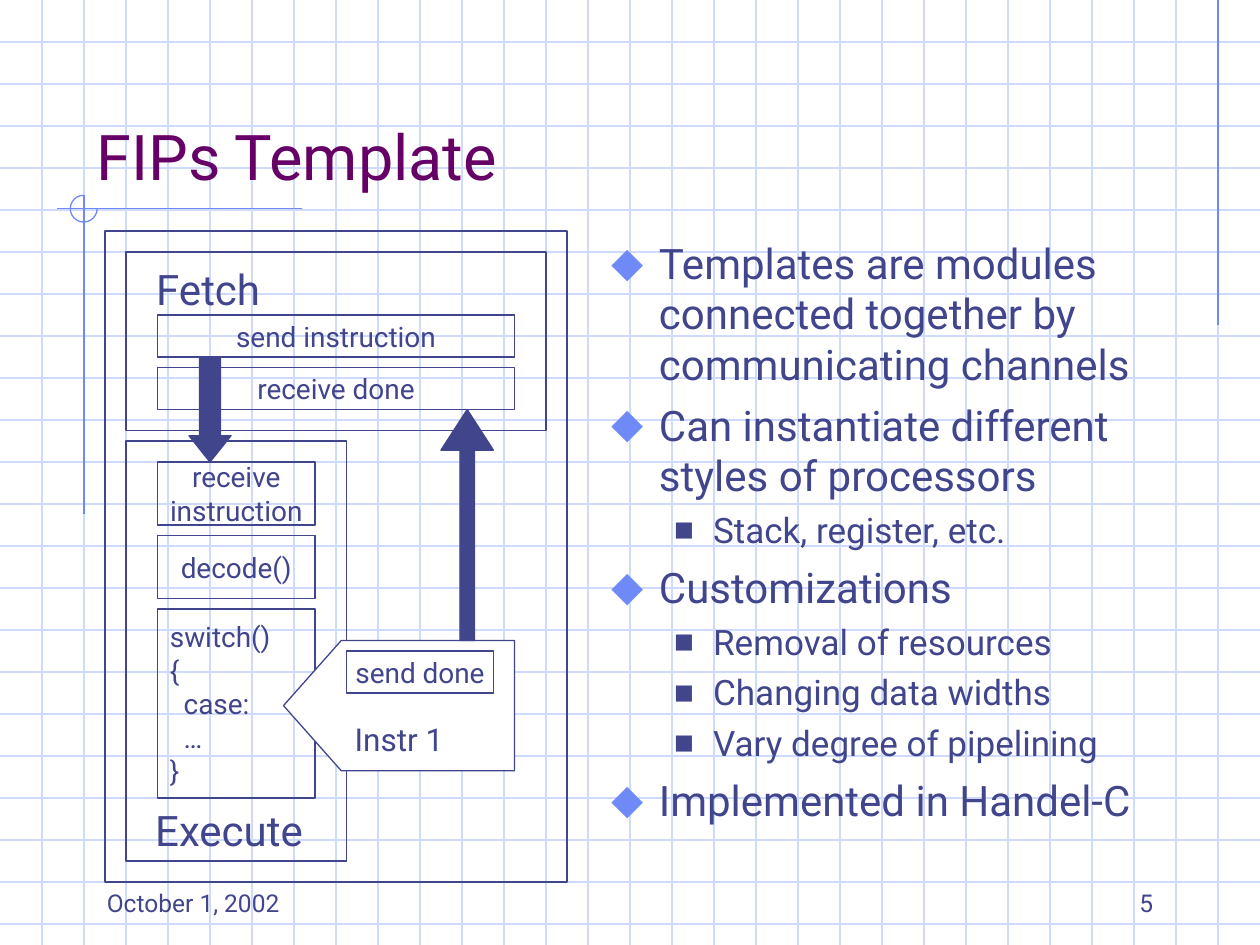
import copy

import lxml.etree
import pptx
import pptx.dml.color
import pptx.enum.shapes
import pptx.enum.text
import pptx.oxml.ns
import pptx.util

COLORS = {"ink": "40458C", "title": "660066", "accent": "6F89F7", "grid": "CFDBFD", "paper": "FFFFFF"}
FONT = "Roboto"
COLUMNS, ROWS = 120, 90
CELL = pptx.util.Inches(1) // 12
GRID_STEP = 4
SHAPES = pptx.enum.shapes.MSO_SHAPE
ALIGN = pptx.enum.text.PP_ALIGN
ANCHOR = pptx.enum.text.MSO_ANCHOR

BULLETS = [
    (0, "Templates are modules connected together by communicating channels"),
    (0, "Can instantiate different styles of processors"),
    (1, "Stack, register, etc."),
    (0, "Customizations"),
    (1, "Removal of resources"),
    (1, "Changing data widths"),
    (1, "Vary degree of pipelining"),
    (0, "Implemented in Handel-C"),
]
BULLET_STYLES = [
    {"size": 24, "before": 6, "margin": 0.38, "indent": -0.38, "bullet": ("⬥", "accent", 110)},
    {"size": 20, "before": 5, "margin": 0.81, "indent": -0.31, "bullet": ("■", "ink", 60)},
]
CODE = [("switch()", 0), ("{", 0), ("case:", 0.11), ("…", 0.11), ("}", 0)]


def color(name):
    """Return the named palette colour."""
    return pptx.dml.color.RGBColor.from_string(COLORS[name])


def cells(*values):
    """Convert grid cells to slide units."""
    return [round(value * CELL) for value in values]


def within(box, left, top, width, height):
    """Shift a box given relative to another one onto the slide grid."""
    return box[0] + left, box[1] + top, width, height


def add_bullet(properties, character, color_name, percent):
    """Append a coloured, scaled bullet to paragraph properties."""
    qn = pptx.oxml.ns.qn
    bullet_color = lxml.etree.SubElement(properties, qn("a:buClr"))
    lxml.etree.SubElement(bullet_color, qn("a:srgbClr"), val=COLORS[color_name])
    lxml.etree.SubElement(properties, qn("a:buSzPct"), val=str(percent * 1000))
    lxml.etree.SubElement(properties, qn("a:buFont"), typeface=FONT)
    lxml.etree.SubElement(properties, qn("a:buChar"), char=character)


def write(paragraph, text, size=16, ink="ink", align=ALIGN.LEFT, before=0, margin=0, indent=0, bullet=None):
    """Fill a paragraph with formatted text."""
    paragraph.text = text
    paragraph.alignment = align
    paragraph.space_before = pptx.util.Pt(before)
    for run in paragraph.runs:
        run.font.size = pptx.util.Pt(size)
        run.font.name = FONT
        run.font.color.rgb = color(ink)
    for line_break in paragraph._p.findall(pptx.oxml.ns.qn("a:br")):
        line_break.append(copy.deepcopy(paragraph.runs[0]._r.rPr))
    properties = paragraph._p.get_or_add_pPr()
    properties.set("marL", str(pptx.util.Inches(margin)))
    properties.set("indent", str(pptx.util.Inches(indent)))
    if bullet:
        add_bullet(properties, *bullet)


def next_paragraph(frame, index):
    """Return the first paragraph or a new one."""
    return frame.add_paragraph() if index else frame.paragraphs[0]


def style(shape, fill=None, line="ink"):
    """Set a shape's fill and outline and drop its shadow."""
    shape.shadow.inherit = False
    if fill:
        shape.fill.solid()
        shape.fill.fore_color.rgb = color(fill)
    else:
        shape.fill.background()
    shape.line.color.rgb = color(line)
    shape.line.width = pptx.util.Pt(0.75)


def add_shape(slide, kind, box, text=None, adjustments=(), **look):
    """Add a preset shape with an optional centred caption."""
    shape = slide.shapes.add_shape(kind, *cells(*box))
    style(shape, **look)
    for index, value in enumerate(adjustments):
        shape.adjustments[index] = value
    if text:
        shape.text_frame.word_wrap = False
        shape.text_frame.vertical_anchor = ANCHOR.MIDDLE
        write(shape.text_frame.paragraphs[0], text, align=ALIGN.CENTER)
    return shape


def add_label(slide, box, text, anchor=ANCHOR.TOP, **text_format):
    """Add a text box with one paragraph."""
    frame = slide.shapes.add_textbox(*cells(*box)).text_frame
    frame.word_wrap = True
    frame.vertical_anchor = anchor
    write(frame.paragraphs[0], text, **text_format)


def add_line(slide, start, end, ink):
    """Draw a thin straight line between two grid points."""
    line = slide.shapes.add_connector(pptx.enum.shapes.MSO_CONNECTOR.STRAIGHT, *cells(*start, *end))
    line.line.color.rgb = color(ink)
    line.line.width = pptx.util.Pt(0.75)
    lxml.etree.SubElement(line._element.spPr, pptx.oxml.ns.qn("a:effectLst"))


def draw_background(slide, width, height):
    """Rule the graph paper and add the accent lines with their circle."""
    for row in range(GRID_STEP, height, GRID_STEP):
        add_line(slide, (0, row), (width, row), "grid")
    for column in range(GRID_STEP, width, GRID_STEP):
        add_line(slide, (column, 0), (column, height), "grid")
    add_line(slide, (116, 0), (116, 31), "accent")
    add_line(slide, (28.8, 19.87), (5.4, 19.87), "accent")
    add_line(slide, (8, 18.6), (8, 49), "accent")
    add_shape(slide, SHAPES.ARC, (6.7, 18.6, 2.55, 2.55), adjustments=(0, 162), line="accent")


def place(placeholder, box, anchor):
    """Bring a placeholder to the front and fit it to a box."""
    placeholder.left, placeholder.top, placeholder.width, placeholder.height = cells(*box)
    placeholder.element.getparent().append(placeholder.element)
    frame = placeholder.text_frame
    frame.word_wrap = True
    frame.auto_size = pptx.enum.text.MSO_AUTO_SIZE.NONE
    frame.vertical_anchor = anchor
    return frame


def fill_title(slide, box):
    """Write the slide title."""
    frame = place(slide.shapes.title, box, ANCHOR.BOTTOM)
    write(frame.paragraphs[0], "FIPs Template", size=36, ink="title")


def fill_body(slide, box):
    """Write the two-level bullet list."""
    frame = place(slide.placeholders[1], box, ANCHOR.TOP)
    for index, (level, text) in enumerate(BULLETS):
        paragraph = next_paragraph(frame, index)
        paragraph.level = level
        write(paragraph, text, **BULLET_STYLES[level])


def draw_fetch(slide, box):
    """Draw the fetch module."""
    add_shape(slide, SHAPES.RECTANGLE, box)
    add_label(slide, within(box, 1.7, 0.5, 12.5, 6), "Fetch", size=24)
    for row, text in enumerate(("send instruction", "receive done")):
        add_shape(slide, SHAPES.RECTANGLE, within(box, 3, 6 + 5 * row, 34, 4), text)


def draw_execute(slide, box):
    """Draw the execute module with its steps and switch code."""
    add_shape(slide, SHAPES.RECTANGLE, box)
    add_label(slide, within(box, 1.6, 34, 17, 6), "Execute", size=24)
    for row, text in enumerate(("receive\ninstruction", "decode()")):
        add_shape(slide, SHAPES.RECTANGLE, within(box, 3, 2 + 7 * row, 15, 6), text)
    frame = add_shape(slide, SHAPES.RECTANGLE, within(box, 3, 16, 15, 18)).text_frame
    frame.word_wrap = True
    frame.vertical_anchor = ANCHOR.MIDDLE
    for index, (text, margin) in enumerate(CODE):
        write(next_paragraph(frame, index), text, margin=margin)


def draw_instruction(slide, box):
    """Draw the instruction tag pointing left at the switch."""
    left, top, width, height = box
    shares = [(1, 0), (0.25, 0), (0, 0.5), (0.25, 1), (1, 1)]
    points = [cells(left + x * width, top + y * height) for x, y in shares]
    builder = slide.shapes.build_freeform(*points[0])
    builder.add_line_segments(points[1:], close=True)
    style(builder.convert_to_shape(), fill="paper")
    add_shape(slide, SHAPES.RECTANGLE, within(box, 6, 1, 14, 4), "send done")
    add_label(slide, within(box, 5.6, 7, 11.5, 4.8), "Instr 1", size=18)


def draw_template(slide, box):
    """Draw the framed fetch and execute modules and their channels."""
    draw_fetch(slide, within(box, 2, 2, 40, 17))
    draw_execute(slide, within(box, 2, 20, 21, 40))
    draw_instruction(slide, within(box, 17, 39, 22, 12.4))
    add_shape(slide, SHAPES.DOWN_ARROW, within(box, 8, 12, 4, 10), adjustments=(0.5, 0.625), fill="ink")
    add_shape(slide, SHAPES.UP_ARROW, within(box, 32, 17, 5, 22), adjustments=(0.275, 0.775), fill="ink")
    add_shape(slide, SHAPES.RECTANGLE, box)


def draw_footer(slide, box):
    """Write the slide number and date at the two ends of the footer."""
    add_label(slide, within(box, box[2] - 25, 0, 25, box[3]), "5", ANCHOR.BOTTOM, size=14, align=ALIGN.RIGHT)
    add_label(slide, within(box, 0, 0, 25, box[3]), "October 1, 2002", ANCHOR.BOTTOM, size=14)


def main():
    """Build and save the presentation."""
    presentation = pptx.Presentation()
    presentation.slide_width, presentation.slide_height = cells(COLUMNS, ROWS)
    slide = presentation.slides.add_slide(presentation.slide_layouts[1])
    draw_background(slide, COLUMNS, ROWS)
    fill_title(slide, (8, 4, 102, 15))
    fill_body(slide, (57, 22, 56, 62))
    draw_template(slide, (10, 22, 44, 62))
    draw_footer(slide, (9, 82, 102, 6))
    presentation.save("out.pptx")


if __name__ == "__main__":
    main()
